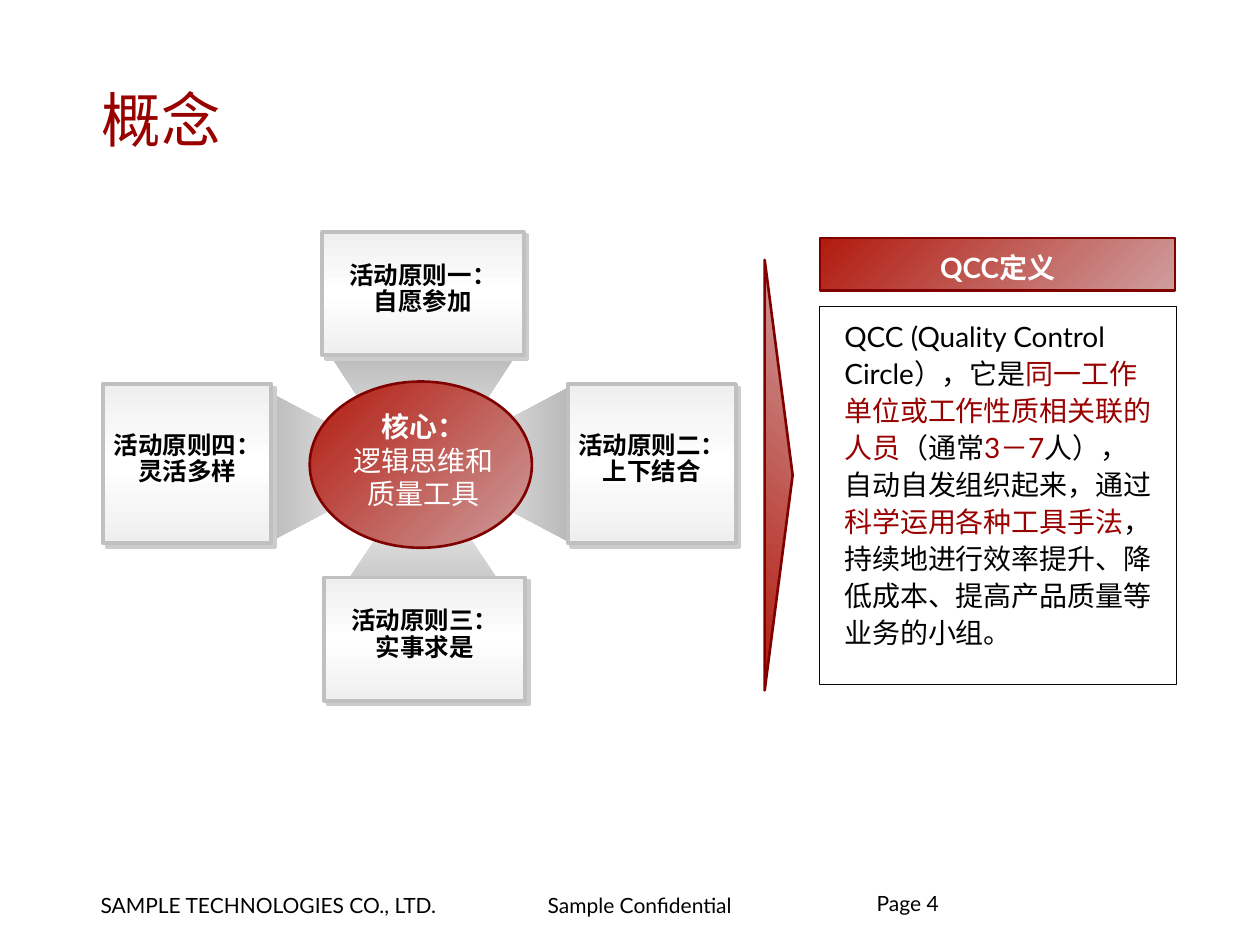
from lxml.etree import SubElement
from pptx import Presentation
from pptx.dml.color import RGBColor
from pptx.enum.shapes import MSO_SHAPE
from pptx.enum.text import MSO_ANCHOR, MSO_AUTO_SIZE, PP_ALIGN
from pptx.oxml.ns import qn
from pptx.util import Pt

FONT = "Lato"
BLACK, WHITE, RED, DARK_RED = "000000", "FFFFFF", "990000", "800000"
RED_BLEND = ("B21A0E", "CE9E9E")
CARD_BLEND = ("EFEFEF", "FFFFFF", "EFEFEF")
WEDGE_BLEND = ("FFFFFF", "B6B6B6")


def color(value):
    return RGBColor.from_string(value)


def blend(shape, colors, angle):
    """Fill with evenly spaced gradient stops; the angle runs clockwise."""
    shape.fill.gradient()
    gradient = shape._element.spPr.find(qn("a:gradFill"))
    stops = gradient.find(qn("a:gsLst"))
    for stop in list(stops):
        stops.remove(stop)
    for index, value in enumerate(colors):
        stop = SubElement(stops, qn("a:gs"), pos=str(index * 100000 // (len(colors) - 1)))
        SubElement(stop, qn("a:srgbClr"), val=value)
    gradient.find(qn("a:lin")).set("ang", str(angle * 60000))


def outline(shape, value, width):
    shape.line.color.rgb = color(value)
    shape.line.width = Pt(width)
    shape.shadow.inherit = False


def add_outlined(shapes, preset, box, value=DARK_RED, width=1.5):
    shape = shapes.add_shape(preset, *map(Pt, box))
    outline(shape, value, width)
    return shape


def add_red(shapes, preset, box):
    shape = add_outlined(shapes, preset, box)
    blend(shape, RED_BLEND, 45)
    return shape


def format_runs(paragraph, size, value, bold=False):
    for run in paragraph.runs:
        run.font.name = FONT
        run.font.size = Pt(size)
        run.font.bold = bold
        run.font.color.rgb = color(value)


def add_text(shapes, box, text, size, value, bold=False, align=PP_ALIGN.LEFT,
             inset=(0, 0), spacing=None):
    frame = shapes.add_textbox(*map(Pt, box)).text_frame
    frame.word_wrap = True
    frame.margin_left = frame.margin_right = Pt(inset[0])
    frame.margin_top = frame.margin_bottom = Pt(inset[1])
    frame.text = text
    for paragraph in frame.paragraphs:
        paragraph.alignment = align
        paragraph.line_spacing = spacing
        format_runs(paragraph, size, value, bold)
    return frame


def place_title(title, box):
    title.left, title.top, title.width, title.height = map(Pt, box)
    frame = title.text_frame
    frame.text = "概念"
    frame.auto_size = MSO_AUTO_SIZE.NONE
    frame.vertical_anchor = MSO_ANCHOR.MIDDLE
    frame.paragraphs[0].alignment = PP_ALIGN.LEFT
    format_runs(frame.paragraphs[0], 34, RED)


def add_wedge(shapes, apex, direction, half_base, depth=87):
    """Triangle opening from its apex along a unit direction."""
    (x, y), (dx, dy) = apex, direction
    base_x, base_y = x + dx * depth, y + dy * depth
    corners = [(base_x - dy * half_base, base_y + dx * half_base),
               (base_x + dy * half_base, base_y - dx * half_base)]
    builder = shapes.build_freeform(Pt(x), Pt(y))
    builder.add_line_segments([(Pt(cx), Pt(cy)) for cx, cy in corners], close=True)
    wedge = builder.convert_to_shape()
    outward = dx + dy > 0
    blend(wedge, WEDGE_BLEND if outward else WEDGE_BLEND[::-1], 90 if dy else 0)
    wedge.line.fill.background()
    wedge.shadow.inherit = False


def add_card(shapes, box, text):
    card = add_outlined(shapes, MSO_SHAPE.RECTANGLE, box, "C0C0C0", 2.25)
    blend(card, CARD_BLEND, 90)
    effects = card._element.spPr.find(qn("a:effectLst"))
    shadow = SubElement(effects, qn("a:outerShdw"), dist=str(Pt(2.8)), dir="2700000",
                        algn="ctr", rotWithShape="0")
    SubElement(shadow, qn("a:srgbClr"), val="CCCCCC")
    left, top, width, height = box
    label_width, label_height = 94, 38
    label = (left + (width - label_width) / 2, top + (height - label_height) / 2 - 2,
             label_width, label_height)
    add_text(shapes, label, text, 14, BLACK, True, PP_ALIGN.CENTER, (3.6, 3.6), 0.9)


def add_principles(shapes, box):
    left, top, width, height = box
    tall_w, tall_h, wide_w, wide_h = 96, 91, 115, 70.5
    middle = left + width / 2 + 2

    # Wedges behind the core
    add_wedge(shapes, (middle, top + 134.5), (0, 1), 57.6)
    add_wedge(shapes, (middle, top + 150.5), (0, -1), 57.6)
    add_wedge(shapes, (middle, top + 133), (1, 0), 46)
    add_wedge(shapes, (middle - 7, top + 134.5), (-1, 0), 46)

    # Side cards
    side_top = top + 87
    add_card(shapes, (left, side_top, tall_w, tall_h), "活动原则四：灵活多样")
    add_card(shapes, (left + width - tall_w, side_top, tall_w, tall_h), "活动原则二：上下结合")

    # Core
    add_red(shapes, MSO_SHAPE.OVAL, (left + 118, top + 85.5, 127, 95))
    core = add_text(shapes, (left + 138, top + 98, 90, 68), "核心：\n逻辑思维和质量工具",
                    16, WHITE, False, PP_ALIGN.CENTER, (3.6, 3.6))
    core.paragraphs[0].runs[0].font.bold = True

    # Top and bottom cards
    wide_left = middle - wide_w / 2
    add_card(shapes, (wide_left, top, wide_w, wide_h), "活动原则一：自愿参加")
    add_card(shapes, (wide_left + 1, top + height - wide_h, wide_w, wide_h),
             "活动原则三：实事求是")


def add_pointer(shapes, box):
    left, top, width, height = box
    shift = (height - width) / 2
    pointer = add_red(shapes, MSO_SHAPE.FLOWCHART_MERGE,
                      (left - shift, top + shift, height, width))
    pointer.rotation = 270


def add_definition(shapes, box):
    left, top, width, height = box

    # Heading
    heading = shapes.add_group_shape().shapes
    add_red(heading, MSO_SHAPE.RECTANGLE, (left + 0.5, top, width - 1, 30))
    add_text(heading, (left + 15.5, top + 3.5, width - 31, 23), "QCC定义", 16, WHITE,
             True, PP_ALIGN.CENTER, (7.2, 3.6))

    # Definition
    body_top = top + 39
    frame_box = (left, body_top, width, height - 39)
    add_outlined(shapes, MSO_SHAPE.RECTANGLE, frame_box, "080808", 0.5).fill.background()
    phrases = [("QCC (Quality Control Circle），它是", BLACK),
               ("同一工作单位或工作性质相关联的人员", RED),
               ("（通常", BLACK), ("3－7", RED),
               ("人），自动自发组织起来，通过", BLACK),
               ("科学运用各种工具手法", RED),
               ("，持续地进行效率提升、降低成本、提高产品质量等业务的小组。", BLACK)]
    definition = add_text(shapes, (left + 14.5, body_top + 6, 178, 191), "", 16, BLACK,
                          spacing=1.1).paragraphs[0]
    for phrase, _ in phrases:
        definition.add_run().text = phrase
    format_runs(definition, 16, BLACK)
    for run, (_, value) in zip(definition.runs, phrases):
        run.font.color.rgb = color(value)


def add_footer(shapes, box):
    left, top, width, height = box
    inset = (6.5, 3.2)
    add_text(shapes, (left, top, 206, height), "SAMPLE TECHNOLOGIES CO., LTD.", 12, BLACK,
             inset=inset)
    add_text(shapes, (left + 255.5, top, 128, height), "Sample Confidential", 12, BLACK,
             inset=inset)
    add_text(shapes, (left + width - 165, top + 4, 165, 36), "Page 4", 12, BLACK,
             spacing=0.85)


def main():
    presentation = Presentation()
    presentation.slide_width, presentation.slide_height = Pt(720), Pt(540)
    slide = presentation.slides.add_slide(presentation.slide_layouts[5])
    shapes = slide.shapes
    add_footer(shapes, (51, 507, 615, 21))
    place_title(shapes.title, (51, 34, 610, 68))
    add_principles(shapes, (59, 132.5, 361.5, 268))
    add_pointer(shapes, (437, 148.5, 16, 246))
    add_definition(shapes, (468, 136, 204, 255))
    presentation.save("out.pptx")


if __name__ == "__main__":
    main()
